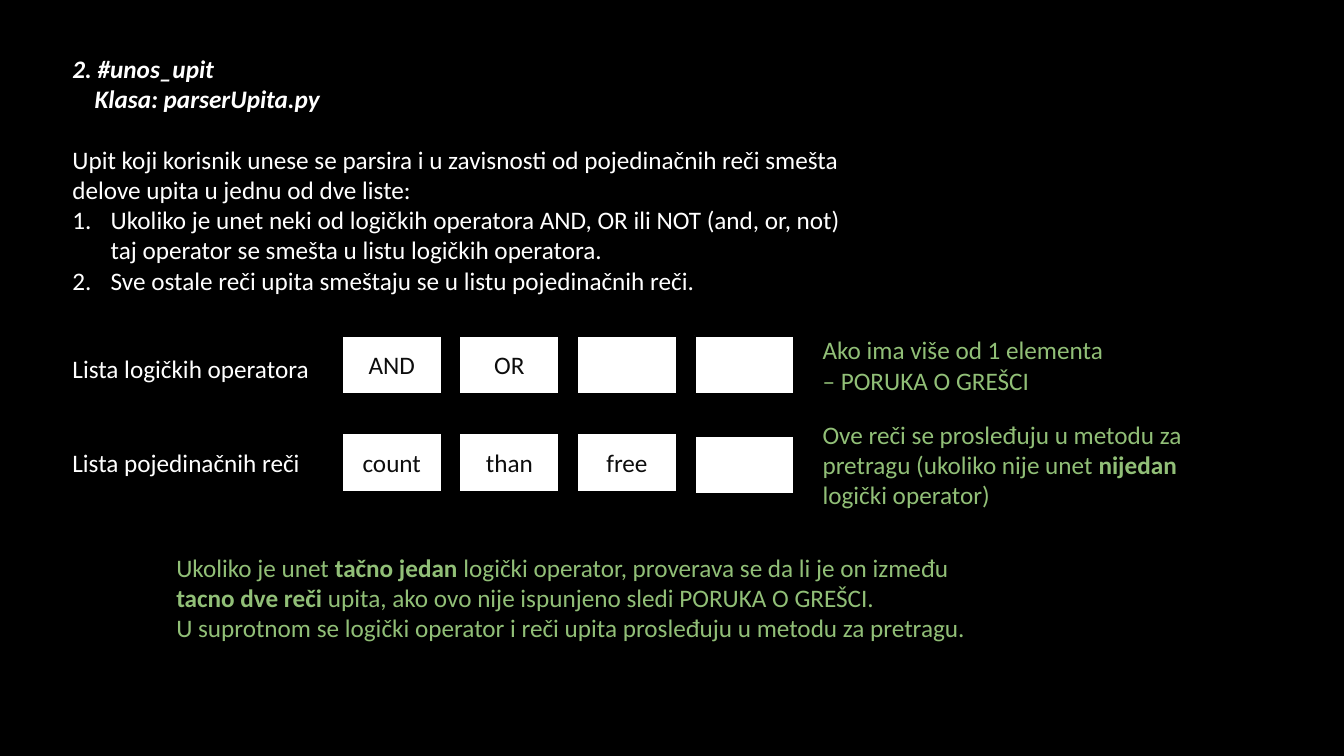
from lxml import etree
from pptx import Presentation
from pptx.dml.color import RGBColor
from pptx.enum import shapes, text
from pptx.oxml import ns
from pptx.util import Inches, Pt

COLORS = {"black": "000000", "white": "FFFFFF", "ink": "0D0D0D", "green": "91BF77"}


class QuerySlide:
    font = "Calibri"
    size = Pt(18)

    def __init__(self, slide):
        self.slide = slide
        self.paint(slide.background.fill, "black")

    def paint(self, fill, color):
        fill.solid()
        fill.fore_color.rgb = RGBColor.from_string(COLORS[color])

    def style(self, run, color, bold=False, italic=False):
        run.font.name = self.font
        run.font.size = self.size
        run.font.bold = bold
        run.font.italic = italic
        run.font.color.rgb = RGBColor.from_string(COLORS[color])

    def indent(self, paragraph, left, first=0.0):
        props = paragraph._p.get_or_add_pPr()
        props.set("marL", str(Inches(left)))
        props.set("indent", str(Inches(first)))
        return props

    def number(self, paragraph):
        props = self.indent(paragraph, 0.38, -0.38)
        etree.SubElement(props, ns.qn("a:buFont"), typeface="+mj-lt")
        etree.SubElement(props, ns.qn("a:buAutoNum"), type="arabicPeriod")

    def note(self, left, top, width, height, lines, color="white", heading=False):
        """Add a text box; parts of a line between ** marks are bold."""
        box = self.slide.shapes.add_textbox(
            Inches(left), Inches(top), Inches(width), Inches(height))
        frame = box.text_frame
        frame.word_wrap = True
        frame.auto_size = text.MSO_AUTO_SIZE.SHAPE_TO_FIT_TEXT
        for i, line in enumerate(lines):
            paragraph = frame.paragraphs[0] if i == 0 else frame.add_paragraph()
            for j, part in enumerate(line.split("**")):
                if part:
                    run = paragraph.add_run()
                    run.text = part
                    self.style(run, color, heading or j % 2 == 1, heading)
        return frame.paragraphs

    def cell(self, left, top, word):
        box = self.slide.shapes.add_shape(
            shapes.MSO_SHAPE.RECTANGLE,
            Inches(left), Inches(top), Inches(0.99), Inches(0.58))
        box.shadow.inherit = False
        self.paint(box.fill, "white")
        self.paint(box.line.fill, "black")
        box.line.width = Pt(1.5)
        if word:
            frame = box.text_frame
            frame.text = word
            frame.vertical_anchor = text.MSO_ANCHOR.MIDDLE
            paragraph = frame.paragraphs[0]
            paragraph.alignment = text.PP_ALIGN.CENTER
            self.style(paragraph.runs[0], "ink")

    def word_list(self, cells):
        """Add a row of evenly spaced cells from (top, word) pairs."""
        for i, (top, word) in enumerate(cells):
            self.cell(3.39 + i * 3.5 / 3, top, word)


def main():
    prs = Presentation()
    prs.slide_width, prs.slide_height = Inches(13.33), Inches(7.5)
    page = QuerySlide(prs.slides.add_slide(prs.slide_layouts[6]))

    heading = page.note(0.62, 0.48, 4.82, 0.71,
                        ["2. #unos_upit", "Klasa: parserUpita.py"], heading=True)
    page.indent(heading[1], 0.22)

    rules = page.note(0.62, 1.38, 7.83, 1.62, [
        "Upit koji korisnik unese se parsira i u zavisnosti od pojedinačnih reči "
        "smešta delove upita u jednu od dve liste:",
        "Ukoliko je unet neki od logičkih operatora AND, OR ili NOT (and, or, not) "
        "taj operator se smešta u listu logičkih operatora.",
        "Sve ostale reči upita smeštaju se u listu pojedinačnih reči."])
    for rule in rules[1:]:
        page.number(rule)

    page.note(0.62, 3.46, 2.61, 0.4, ["Lista logičkih operatora"])
    page.word_list([(3.33, "AND"), (3.33, "OR"), (3.33, ""), (3.33, "")])
    page.note(8.06, 3.27, 3.12, 0.71,
              ["Ako ima više od 1 elementa – PORUKA O GREŠCI"], "green")

    page.note(0.62, 4.39, 2.97, 0.4, ["Lista pojedinačnih reči"])
    page.word_list([(4.3, "count"), (4.3, "than"), (4.3, "free"), (4.32, "")])
    page.note(8.06, 4.11, 3.82, 1.01, [
        "Ove reči se prosleđuju u metodu za pretragu "
        "(ukoliko nije unet **nijedan **logički operator)"], "green")

    page.note(1.65, 5.43, 8.15, 1.01, [
        "Ukoliko je unet **tačno jedan **logički operator, proverava se da li je on "
        "između **tacno dve reči **upita, ako ovo nije ispunjeno sledi PORUKA O GREŠCI.",
        "U suprotnom se logički operator i reči upita prosleđuju u metodu za pretragu.",
    ], "green")

    prs.save("out.pptx")


if __name__ == "__main__":
    main()
